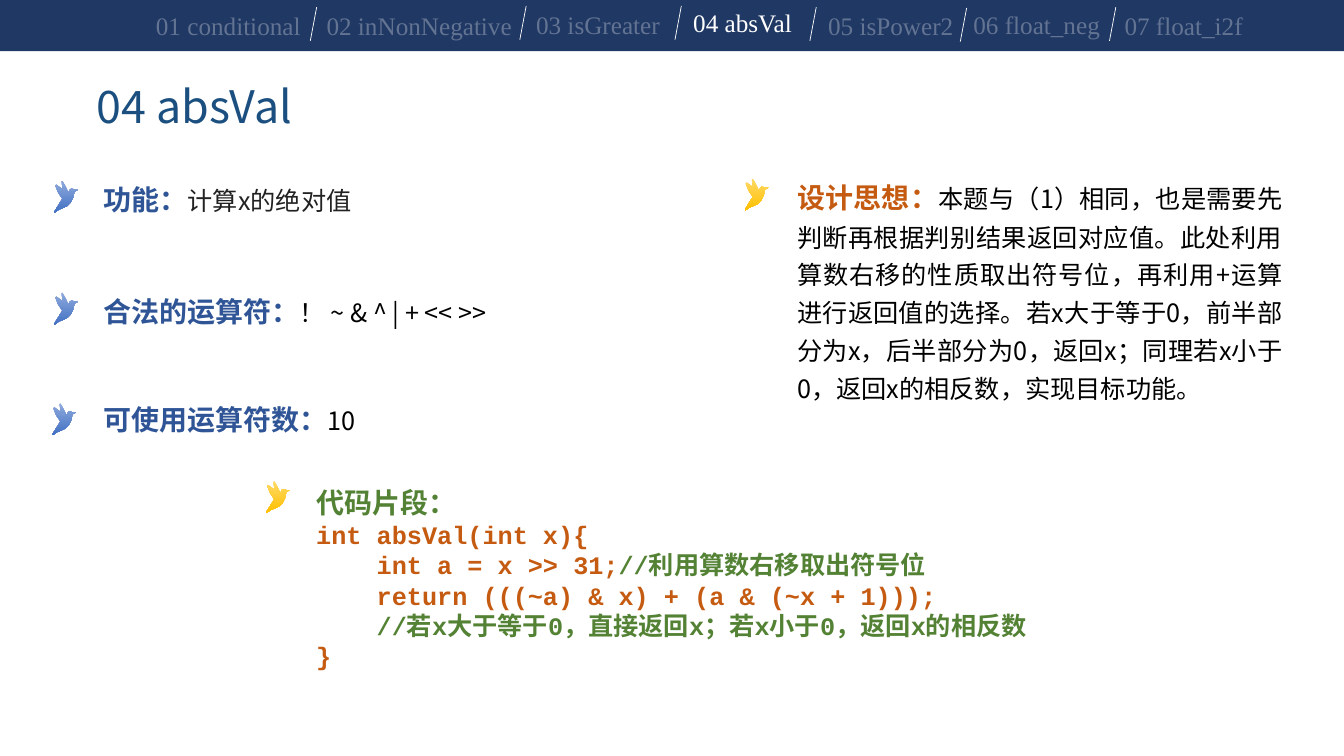
from lxml import etree
from pptx import Presentation
from pptx.dml.color import RGBColor
from pptx.enum.shapes import MSO_CONNECTOR, MSO_SHAPE
from pptx.enum.text import MSO_AUTO_SIZE, PP_ALIGN
from pptx.oxml.ns import qn
from pptx.util import Cm, Pt

RECTANGLE = MSO_SHAPE.RECTANGLE
STRAIGHT = MSO_CONNECTOR.STRAIGHT
GROW = MSO_AUTO_SIZE.SHAPE_TO_FIT_TEXT
JUSTIFY = PP_ALIGN.JUSTIFY

SANS, SERIF, MONO = "Noto Sans CJK SC", "Times New Roman", "Courier New"
NAVY, WHITE, BLACK, GREY = "203864", "FFFFFF", "000000", "222222"
TITLE_BLUE, BLUE, ORANGE, GREEN = "1B4F80", "2F5597", "C55A11", "548235"
GOLD_BIRD = ((0, "FFD966"), (1, "FFC000"))
BLUE_BIRD = ((0, "8FAADC"), (0.98, "4472C4"))

# All positions and sizes below are in centimetres.
SLIDE_SIZE = (33.87, 19.05)
NAV_BAR = (0, -0.08, 33.87, 1.37)
CURRENT_TAB = "04 absVal"
TAB_HEIGHT = 1.02
TABS = [  # label, left, top, width
    ("01 conditional", 3.68, 0.13, 4.19),
    ("02 inNonNegative", 7.98, 0.13, 5.23),
    ("03 isGreater", 13.26, 0.1, 3.66),
    (CURRENT_TAB, 17.22, 0.05, 3.02),
    ("05 isPower2", 20.62, 0.13, 3.71),
    ("06 float_neg", 24.28, 0.1, 3.73),
    ("07 float_i2f", 28.09, 0.13, 3.53),
]
SEPARATORS = [(7.98, 0.18), (13.26, 0.15), (17.17, 0.15),
              (20.57, 0.18), (24.36, 0.2), (28.12, 0.18)]
SLANT, SEPARATOR_HEIGHT = 0.16, 0.85

TITLE_BOX = (2.18, 1.85, 5.69, 1.63)


def heading(text, color):
    return (text, 20, SANS, color, True)


def body(text, color=BLACK):
    return (text, 18, SANS, color, False)


def code(text, color=ORANGE):
    return (text, 18, MONO, color, True)


SECTIONS = [  # bird position, bird colours, text box, line spacing, alignment, paragraphs
    ((18.77, 4.5), GOLD_BIRD, (19.84, 4.22, 12.73, 7.87), 1.25, JUSTIFY, [
        [heading("设计思想：", ORANGE),
         body("本题与（1）相同，也是需要先判断再根据判别结果返回对应值。"
              "此处利用算数右移的性质取出符号位，再利用+运算进行返回值的选择。"
              "若x大于等于0，前半部分为x，后半部分为0，返回x；"
              "同理若x小于0，返回x的相反数，实现目标功能。")]]),
    ((6.71, 12.12), GOLD_BIRD, (7.72, 12.12, 24.82, 4.95), None, None, [
        [heading("代码片段：", GREEN)],
        [code("int absVal(int x){")],
        [code("    int a = x >> 31;"), code("//利用算数右移取出符号位", GREEN)],
        [code("    return (((~a) & x) + (a & (~x + 1)));")],
        [code("    //若x大于等于0，直接返回x；若x小于0，返回x的相反数", GREEN)],
        [code("}")]]),
    ((1.37, 4.55), BLUE_BIRD, (2.36, 4.27, 12.73, 3.05), 1.25, None, [
        [heading("功能：", BLUE), body("计算x的绝对值", GREY)]]),
    ((1.37, 7.37), BLUE_BIRD, (2.36, 7.29, 12.73, 1.12), None, None, [
        [heading("合法的运算符：", BLUE), body("！ ~ & ^ | + << >>")]]),
    ((1.32, 10.16), BLUE_BIRD, (2.36, 10.03, 12.73, 1.12), None, None, [
        [heading("可使用运算符数：", BLUE), body("10")]]),
]

BIRD_WIDTH, BIRD_GRID = 0.61, 240
BIRD_OUTLINE = [
    (240, 90), (200, 90), (187, 84), (170, 80), (155, 88), (140, 120), (110, 56),
    (80, 0), (70, 10), (76, 40), (80, 80), (104, 108), (120, 140), (120, 150),
    (74, 80), (20, 40), (10, 50), (38, 119), (80, 180), (0, 310), (0, 320),
    (45, 288), (90, 270), (128, 252), (164, 216), (188, 168), (200, 110)]


def rgb(color):
    return RGBColor.from_string(color)


def lengths(values):
    return [Cm(value) for value in values]


def add_text(page, place, paragraphs, wrap=True, spacing=None, align=None):
    box = page.shapes.add_textbox(*lengths(place))
    frame = box.text_frame
    frame.word_wrap = wrap
    frame.auto_size = GROW
    for index, spans in enumerate(paragraphs):
        para = frame.add_paragraph() if index else frame.paragraphs[0]
        para.line_spacing = spacing
        para.alignment = align
        for text, size, font, color, bold in spans:
            span = para.add_run()
            span.text = text
            span.font.size = Pt(size)
            span.font.bold = bold
            span.font.color.rgb = rgb(color)
            span.font.name = font
            latin = span.font._element.find(qn("a:latin"))
            east_asian = etree.Element(qn("a:ea"), typeface=SANS)
            latin.addnext(east_asian)
    return box


def fade(box, percent):
    """Give the text of a box the stated opacity."""
    for color in box._element.iter(qn("a:srgbClr")):
        etree.SubElement(color, qn("a:alpha"), val=str(percent * 1000))


def add_bird(page, place, stops):
    start, *rest = BIRD_OUTLINE
    builder = page.shapes.build_freeform(*start, scale=Cm(BIRD_WIDTH) / BIRD_GRID)
    builder.add_line_segments(rest, close=True)
    bird = builder.convert_to_shape(*lengths(place))
    bird.shadow.inherit = False
    bird.line.fill.background()
    bird.fill.gradient()
    bird.fill.gradient_angle = 270
    for stop, (position, color) in zip(bird.fill.gradient_stops, stops):
        stop.position = position
        stop.color.rgb = rgb(color)


def add_separator(page, left, top):
    ends = (left, top, left - SLANT, top + SEPARATOR_HEIGHT)
    line = page.shapes.add_connector(STRAIGHT, *lengths(ends))
    line.line.color.rgb = rgb(WHITE)
    line.line.width = Pt(0.5)
    etree.SubElement(line._element.spPr, qn("a:effectLst"))


def add_navigation(page):
    bar = page.shapes.add_shape(RECTANGLE, *lengths(NAV_BAR))
    bar.shadow.inherit = False
    bar.fill.solid()
    bar.fill.fore_color.rgb = rgb(NAVY)
    bar.line.fill.background()
    for label, left, top, width in TABS:
        box = add_text(page, (left, top, width, TAB_HEIGHT),
                       [[(label, 18, SERIF, WHITE, False)]], wrap=False)
        if label != CURRENT_TAB:
            fade(box, 30)
    for left, top in SEPARATORS:
        add_separator(page, left, top)


def main():
    deck = Presentation()
    deck.slide_width, deck.slide_height = lengths(SLIDE_SIZE)
    page = deck.slides.add_slide(deck.slide_layouts[6])
    add_navigation(page)
    add_text(page, TITLE_BOX, [[(CURRENT_TAB, 32, SANS, TITLE_BLUE, False)]], wrap=False)
    for bird_place, stops, place, spacing, align, paragraphs in SECTIONS:
        add_bird(page, bird_place, stops)
        add_text(page, place, paragraphs, spacing=spacing, align=align)
    deck.save("out.pptx")


if __name__ == "__main__":
    main()
